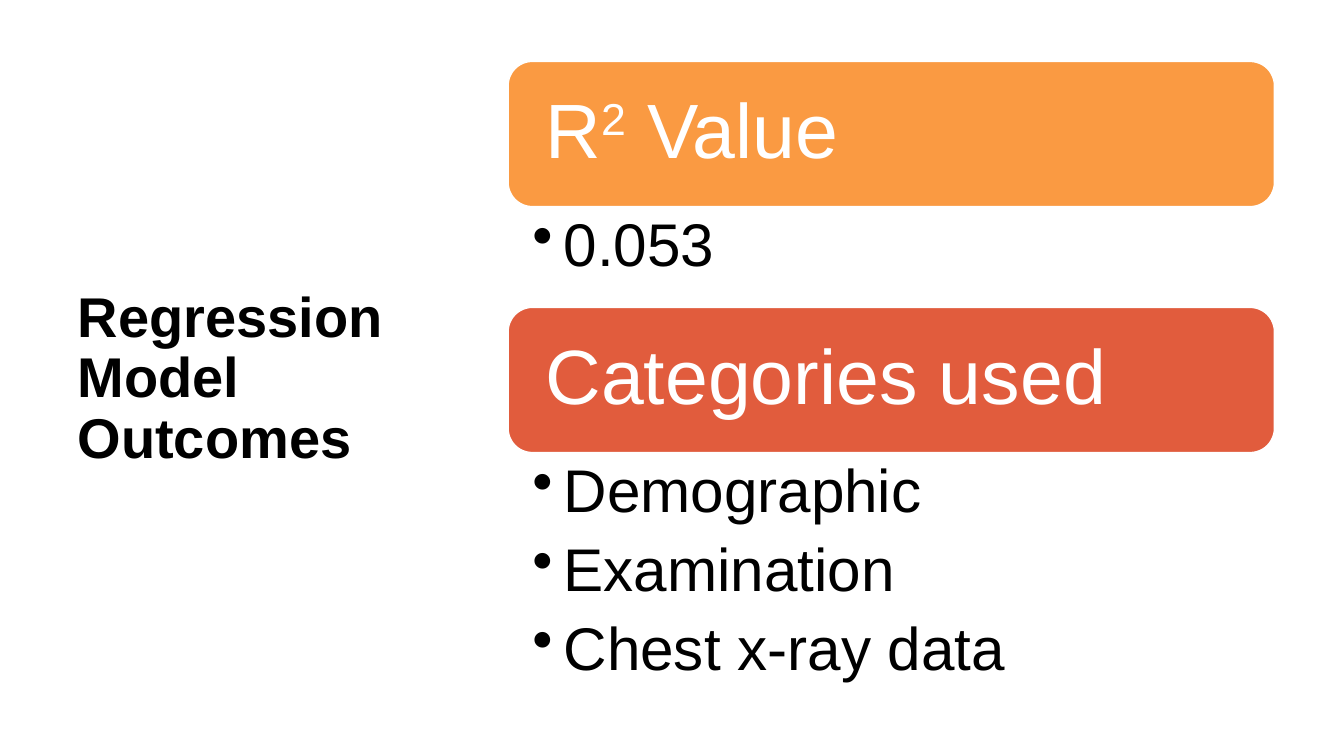
import pptx
import pptx.dml.color
import pptx.enum.shapes
import pptx.enum.text
import pptx.util
from lxml import etree
from pptx.oxml.ns import qn

Inches = pptx.util.Inches
Pt = pptx.util.Pt
RGBColor = pptx.dml.color.RGBColor
MIDDLE = pptx.enum.text.MSO_ANCHOR.MIDDLE
TOP = pptx.enum.text.MSO_ANCHOR.TOP
LEFT = pptx.enum.text.PP_ALIGN.LEFT

BLACK = RGBColor(0x00, 0x00, 0x00)
WHITE = RGBColor(0xFF, 0xFF, 0xFF)
ORANGE = RGBColor(0xFA, 0x9A, 0x42)
RED = RGBColor(0xE1, 0x5C, 0x3D)

LIST_LEFT, LIST_WIDTH = 5.04, 7.6
HEADER_HEIGHT = 1.44


class OutcomeSlide:
    font = "Arial"
    line_spacing = 0.9

    def __init__(self, prs):
        self.slide = prs.slides.add_slide(prs.slide_layouts[5])

    def frame(self, sp, anchor, insets):
        tf = sp.text_frame
        tf.word_wrap = True
        tf.auto_size = pptx.enum.text.MSO_AUTO_SIZE.NONE
        tf.vertical_anchor = anchor
        left, top, right, bottom = map(Inches, insets)
        tf.margin_left, tf.margin_top = left, top
        tf.margin_right, tf.margin_bottom = right, bottom
        return tf

    def style(self, p, size, color, bold=False):
        p.alignment = LEFT
        p.line_spacing = self.line_spacing
        p.font.name = self.font
        p.font.size = Pt(size)
        p.font.bold = bold
        p.font.color.rgb = color

    def title(self, text, left, top, width, height):
        sp = self.slide.shapes.title
        sp.left, sp.top = Inches(left), Inches(top)
        sp.width, sp.height = Inches(width), Inches(height)
        tf = self.frame(sp, MIDDLE, (0.1, 0.05, 0.1, 0.05))
        tf.text = text
        self.style(tf.paragraphs[0], 40, BLACK, bold=True)

    def header(self, runs, top, color):
        sp = self.slide.shapes.add_shape(
            pptx.enum.shapes.MSO_SHAPE.ROUNDED_RECTANGLE,
            Inches(LIST_LEFT), Inches(top), Inches(LIST_WIDTH), Inches(HEADER_HEIGHT))
        sp.shadow.inherit = False
        sp.fill.solid()
        sp.fill.fore_color.rgb = color
        sp.line.color.rgb = WHITE
        sp.line.width = Pt(1)
        p = self.frame(sp, MIDDLE, (0.3, 0.3, 0.3, 0.3)).paragraphs[0]
        self.style(p, 55, WHITE)
        for text, baseline in runs:
            r = p.add_run()
            r.text = text
            if baseline:
                r._r.get_or_add_rPr().set("baseline", str(baseline * 1000))

    def bullets(self, items, top, height):
        sp = self.slide.shapes.add_textbox(
            Inches(LIST_LEFT), Inches(top), Inches(LIST_WIDTH), Inches(height))
        tf = self.frame(sp, TOP, (0.24, 0.08, 0.43, 0.08))
        for i, item in enumerate(items):
            p = tf.add_paragraph() if i else tf.paragraphs[0]
            p.text = item
            p.space_after = Pt(10)
            self.style(p, 43, BLACK)
            pPr = p._p.get_or_add_pPr()
            pPr.set("marL", str(Inches(0.31)))
            pPr.set("indent", str(-Inches(0.31)))
            bullet = etree.Element(qn("a:buChar"), char="•")
            pPr.find(qn("a:defRPr")).addprevious(bullet)


def main():
    prs = pptx.Presentation()
    prs.slide_width, prs.slide_height = Inches(13.33), Inches(7.5)
    s = OutcomeSlide(prs)
    s.title("Regression Model Outcomes", 0.67, 0.6, 3.82, 6.33)
    sections = [
        ([("R", 0), ("2", 30), (" Value", 0)], ORANGE, ["0.053"], 1),
        ([("Categories used", 0)], RED,
         ["Demographic", "Examination", "Chest x-ray data"], 2.43),
    ]
    top = 0.61
    for runs, color, items, height in sections:
        s.header(runs, top, color)
        s.bullets(items, top + HEADER_HEIGHT, height)
        top += HEADER_HEIGHT + height
    prs.save("out.pptx")


if __name__ == "__main__":
    main()
